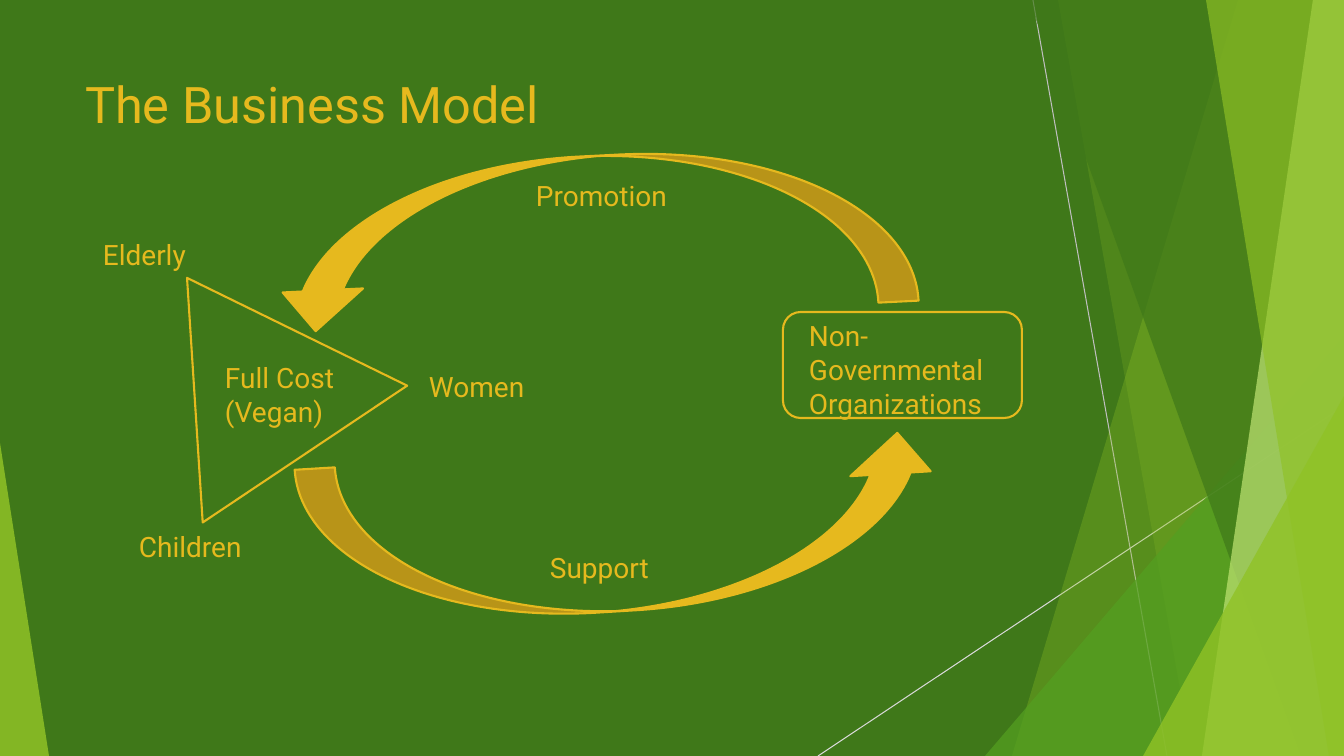
from lxml import etree
from pptx import Presentation
from pptx.dml.color import RGBColor
from pptx.enum.shapes import MSO_CONNECTOR, MSO_SHAPE
from pptx.enum.text import MSO_ANCHOR, MSO_AUTO_SIZE, PP_ALIGN
from pptx.oxml.ns import qn
from pptx.util import Pt

TRIANGLE = MSO_SHAPE.ISOSCELES_TRIANGLE
CURVED_ARROW = MSO_SHAPE.CURVED_DOWN_ARROW
ROUNDED = MSO_SHAPE.ROUNDED_RECTANGLE
STRAIGHT = MSO_CONNECTOR.STRAIGHT
TOP = MSO_ANCHOR.TOP
LEFT = PP_ALIGN.LEFT
FIT_SHAPE = MSO_AUTO_SIZE.SHAPE_TO_FIT_TEXT
NO_AUTOSIZE = MSO_AUTO_SIZE.NONE

WIDTH, HEIGHT = 1344, 756
SCALE = 12192000 / WIDTH
FONT = "Roboto"
GREEN, LIME, GRASS, PALE, GOLD = "3F7819", "90C226", "54A021", "C0E474", "E6B91E"


def px(length):
    return round(length * SCALE)


def color(value):
    return RGBColor.from_string(value)


def paint(shape, fill=None, opacity=100, line=None):
    shape.shadow.inherit = False
    if fill:
        shape.fill.solid()
        shape.fill.fore_color.rgb = color(fill)
        if opacity < 100:
            solid = shape.element.spPr.find(qn("a:solidFill"))
            etree.SubElement(solid[0], qn("a:alpha"), val=str(opacity * 1000))
    else:
        shape.fill.background()
    if line:
        shape.line.color.rgb = color(line)
        shape.line.width = Pt(1.5)
    else:
        shape.line.fill.background()


def add_preset(slide, kind, left, top, width, height):
    return slide.shapes.add_shape(kind, px(left), px(top), px(width), px(height))


def style_text(frame, size):
    for paragraph in frame.paragraphs:
        paragraph.alignment = LEFT
        paragraph.font.name = FONT
        paragraph.font.size = Pt(size)
        paragraph.font.color.rgb = color(GOLD)


def add_label(slide, text, left, top, width, height):
    label = slide.shapes.add_textbox(px(left), px(top), px(width), px(height))
    frame = label.text_frame
    frame.word_wrap = True
    frame.auto_size = FIT_SHAPE
    frame.text = text
    style_text(frame, 20)


def add_ray(slide, start, end, shade):
    ray = slide.shapes.add_connector(STRAIGHT, *map(px, start + end))
    ray.line.color.rgb = color(shade)
    ray.line.width = Pt(0.75)
    etree.SubElement(ray.element.spPr, qn("a:effectLst"))


def add_facet(slide, box, top_x, bottom_x, fill, opacity):
    left, top, width, height = box
    right, bottom = left + width, top + height
    builder = slide.shapes.build_freeform(left + top_x, top, scale=SCALE)
    builder.add_line_segments(
        [(right, top), (right, bottom), (left + bottom_x, bottom)], close=True)
    paint(builder.convert_to_shape(), fill, opacity)


def add_corner(slide, left, top, width, height, apex, fill, opacity):
    corner = add_preset(slide, TRIANGLE, left, top, width, height)
    corner.adjustments[0] = apex
    paint(corner, fill, opacity)


def add_facets(slide, box):
    left, top, width, height = box
    right, bottom = left + width, top + height
    add_ray(slide, (left + 33, top), (left + 167, bottom), "BFBFBF")
    add_ray(slide, (right, top + 406), (left - 182, bottom), "D9D9D9")
    add_facet(slide, box, 238, 12, LIME, 30)
    add_facet(slide, box, 58, 192, LIME, 20)
    add_corner(slide, right - 359, bottom - 420, 359, 420, 1, GRASS, 72)
    add_facet(slide, box, 29, 301, GREEN, 70)
    add_facet(slide, box, 313, 202, PALE, 70)
    add_facet(slide, box, 206, 329, LIME, 65)
    add_corner(slide, right - 201, bottom - 360, 201, 360, 1, LIME, 80)


def add_title(slide, text, box):
    title = slide.shapes.title
    title.left, title.top, title.width, title.height = map(px, box)
    frame = title.text_frame
    frame.text = text
    frame.auto_size = NO_AUTOSIZE
    frame.vertical_anchor = TOP
    style_text(frame, 36)


def add_cycle(slide, box):
    left, top, width, height = box
    triangle = add_preset(slide, TRIANGLE, left + 30, top + 104, 246, 212)
    triangle.rotation = 326.2
    paint(triangle, line=GOLD)

    arrow_width, arrow_height = 644, 161
    for arrow_left, arrow_top, rotation in (
            (left + 178, top, 357.1),
            (left + 206, top + height - arrow_height, 176.5)):
        arrow = add_preset(
            slide, CURVED_ARROW, arrow_left, arrow_top, arrow_width, arrow_height)
        arrow.rotation = rotation
        arrow.element.spPr.xfrm.set("flipH", "1")
        paint(arrow, GOLD, line=GOLD)

    partner = add_preset(slide, ROUNDED, left + width - 239, top + 156, 239, 106)
    paint(partner, line=GOLD)

    for text, x, y, label_width, label_height in (
            ("Elderly", 0, 77, 202, 44),
            ("Children", 36, 369, 202, 44),
            ("Full Cost\n(Vegan)", 122, 200, 202, 78),
            ("Women", 326, 209, 202, 44),
            ("Non-Governmental\nOrganizations", 706, 158, 223, 112),
            ("Support", 447, 390, 223, 44),
            ("Promotion", 433, 18, 223, 44)):
        add_label(slide, text, left + x, top + y, label_width, label_height)


def main():
    presentation = Presentation()
    presentation.slide_width, presentation.slide_height = px(WIDTH), px(HEIGHT)
    slide = presentation.slides.add_slide(presentation.slide_layouts[5])
    slide.background.fill.solid()
    slide.background.fill.fore_color.rgb = color(GREEN)
    add_facets(slide, (1000, 0, WIDTH - 1000, HEIGHT))
    add_corner(slide, 0, HEIGHT - 313, 49, 313, 0, LIME, 85)
    add_title(slide, "The Business Model", (75, 68, 948, 145))
    add_cycle(slide, (93, 156, 929, 455))
    presentation.save("out.pptx")


if __name__ == "__main__":
    main()
